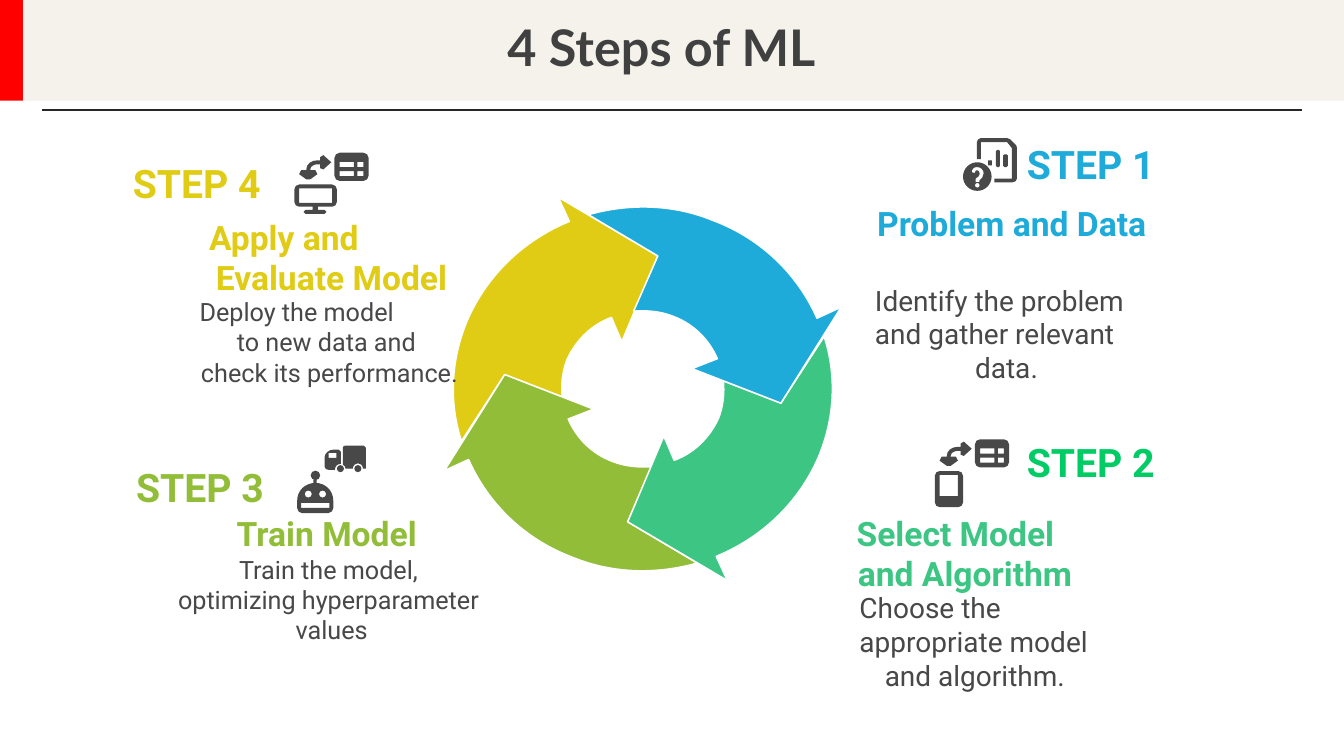
from lxml.etree import SubElement
from pptx import Presentation
from pptx.dml.color import RGBColor
from pptx.enum.shapes import MSO_CONNECTOR, MSO_SHAPE
from pptx.enum.text import MSO_ANCHOR, PP_ALIGN
from pptx.oxml.ns import qn
from pptx.util import Cm, Pt

WHITE = RGBColor(0xFF, 0xFF, 0xFF)
CREAM = RGBColor(0xF5, 0xF1, 0xEB)
RED = RGBColor(0xFF, 0x00, 0x00)
RULE = RGBColor(0x26, 0x26, 0x26)
TITLE = RGBColor(0x40, 0x40, 0x40)
DARK = RGBColor(0x48, 0x48, 0x48)
BLUE = RGBColor(0x1E, 0xAB, 0xDA)
EMERALD = RGBColor(0x3C, 0xC5, 0x83)
BRIGHT_GREEN = RGBColor(0x00, 0xCC, 0x66)
OLIVE = RGBColor(0x92, 0xBD, 0x39)
YELLOW = RGBColor(0xE0, 0xCB, 0x15)


def pairs(segment):
    return list(zip(segment[::2], segment[1::2]))


def shift(contours, dx, dy):
    return [[tuple(value for x, y in pairs(segment) for value in (x + dx, y + dy))
             for segment in contour] for contour in contours]


def box(left, top, width, height, radius=0):
    """Contour of a rectangle, with rounded corners if a radius is given."""
    right, bottom = left + width, top + height
    if not radius:
        return [(left, top), (right, top), (right, bottom), (left, bottom)]
    r, k = radius, 0.45 * radius
    return [(left + r, top), (right - r, top), (right - k, top, right, top + k, right, top + r),
            (right, bottom - r), (right, bottom - k, right - k, bottom, right - r, bottom),
            (left + r, bottom), (left + k, bottom, left, bottom - k, left, bottom - r),
            (left, top + r), (left, top + k, left + k, top, left + r, top)]


def disc(x, y, radius):
    return box(x - radius, y - radius, 2 * radius, 2 * radius, radius)


# Outlines in cm: two numbers are a corner, six are a Bezier curve
LEFT_ARROW = [
    (-3.48, -0.36), (-4.57, 1.32), (-4.88, 0.36, -4.85, -0.71, -4.42, -1.73),
    (-3.91, -2.9, -2.97, -3.76, -1.85, -4.22), (-2.13, -4.83), (0.38, -3.35),
    (-0.53, -1.19), (-0.79, -1.8), (-1.27, -1.63, -1.68, -1.24, -1.91, -0.74),
    (-2.03, -0.43, -2.06, -0.1, -2.03, 0.2)]
TOP_ARROW = [
    (0.38, -3.35), (-1.37, -4.39), (-0.38, -4.67, 0.74, -4.67, 1.78, -4.24),
    (3, -3.78, 3.91, -2.87, 4.39, -1.78), (5, -2.06), (3.48, 0.36),
    (1.24, -0.51), (1.88, -0.76), (1.68, -1.22, 1.3, -1.63, 0.76, -1.83),
    (0.43, -1.96, 0.1, -1.98, -0.23, -1.96)]
SWAP_ARROW = [
    (0.81, 0.18), (0.61, 0.36), (0.53, 0.33), (0.53, 0.23), (0.46, 0.23),
    (0.38, 0.23, 0.28, 0.28, 0.28, 0.36), (0.28, 0.38), (0.41, 0.38), (0.46, 0.48),
    (0.28, 0.61), (0.18, 0.61), (0, 0.48), (0.05, 0.38), (0.18, 0.38), (0.18, 0.36),
    (0.18, 0.23, 0.3, 0.13, 0.46, 0.13), (0.53, 0.13), (0.53, 0.05), (0.61, 0)]
QUESTION_MARK = [
    (0.23, 0.25), (0.23, 0.17, 0.28, 0.12, 0.36, 0.12),
    (0.47, 0.12, 0.53, 0.2, 0.53, 0.28), (0.53, 0.36, 0.48, 0.41, 0.42, 0.46),
    (0.42, 0.5), (0.33, 0.5), (0.33, 0.41), (0.4, 0.37, 0.43, 0.33, 0.43, 0.29),
    (0.43, 0.23, 0.4, 0.2, 0.36, 0.2), (0.33, 0.2, 0.31, 0.23, 0.31, 0.27)]
PAGE = [
    (1.35, 0.18), (1.37, 0.25), (1.37, 1.02), (1.37, 1.07, 1.32, 1.12, 1.24, 1.12),
    (0.8, 1.12), (0.8, 1.02), (1.24, 1.02), (1.24, 0.25), (1.12, 0.1), (0.46, 0.1),
    (0.46, 0.53), (0.36, 0.53), (0.36, 0.1), (0.36, 0.05, 0.41, 0, 0.46, 0),
    (1.12, 0), (1.2, 0.03)]

# Icons in cm: a contour inside another one is a hole
TABLE = [box(0, 0, 0.86, 0.71, 0.13)] + [
    box(left, top, width, 0.13)
    for top in (0.23, 0.46) for left, width in ((0.13, 0.36), (0.58, 0.15))]
DATA_FLOW = shift([SWAP_ARROW], 0.12, -0.74) + shift(TABLE, 1.01, -0.8)
MONITOR = DATA_FLOW + [
    box(0, 0, 1.07, 0.56, 0.12), box(0.12, 0.1, 0.83, 0.36),
    box(0.46, 0.56, 0.13, 0.08), box(0.23, 0.64, 0.58, 0.1, 0.05)]
PHONE = DATA_FLOW + [box(0, 0, 0.71, 0.91, 0.12), box(0.12, 0.1, 0.46, 0.53)]
REPORT = [PAGE, box(0.64, 0.56, 0.1, 0.13), box(0.84, 0.3, 0.1, 0.43, 0.03),
          box(1.02, 0.41, 0.12, 0.32, 0.03), disc(0.37, 0.97, 0.36), disc(0.37, 1.19, 0.06)
          ] + shift([QUESTION_MARK], 0, 0.61)
CAB = [(0, 0.3), (0, 0.2, 0.1, 0.1, 0.23, 0.1), (0.36, 0.1), (0.41, 0.15), (0.41, 0.46),
       (0.33, 0.46, 0.26, 0.51, 0.26, 0.61), (0.1, 0.61), (0.05, 0.61, 0, 0.58, 0, 0.53)]
CARGO = [(0.46, 0.05), (0.46, 0.02, 0.49, 0, 0.53, 0), (0.99, 0), (1.04, 0.05), (1.04, 0.58),
         (0.97, 0.58), (0.95, 0.4, 0.73, 0.4, 0.71, 0.58), (0.53, 0.58),
         (0.53, 0.53, 0.5, 0.5, 0.46, 0.48)]
TRUCK = [CAB, box(0.1, 0.18, 0.2, 0.13), CARGO, disc(0.4, 0.58, 0.09), disc(0.84, 0.58, 0.09)]
HEAD = [(0.91, 0.76), (0.91, 0.94), (0.91, 1, 0.86, 1.07, 0.79, 1.07), (0.12, 1.07),
        (0.05, 1.07, 0, 1, 0, 0.94), (0, 0.76), (0, 0.5, 0.2, 0.31, 0.46, 0.31),
        (0.71, 0.31, 0.91, 0.5, 0.91, 0.76)]
ROBOT = [HEAD, disc(0.46, 0.12, 0.12), box(0.41, 0.23, 0.08, 0.08), box(0.1, 0.81, 0.71, 0.13),
         disc(0.28, 0.59, 0.09), disc(0.64, 0.59, 0.09)]


class SlideBuilder:
    title_font, text_font = "Lato", "Roboto"

    def __init__(self, slide):
        self.shapes = slide.shapes

    def paint(self, shape, fill, line=None):
        shape.shadow.inherit = False
        shape.fill.solid()
        shape.fill.fore_color.rgb = fill
        if line is None:
            shape.line.fill.background()
        else:
            shape.line.color.rgb = line
            shape.line.width = Pt(1.07)

    def format_runs(self, paragraph, font, size, colour, bold):
        for run in paragraph.runs:
            run.font.name, run.font.size, run.font.bold = font, Pt(size), bold
            run.font.color.rgb = colour

    def title(self, text, left, top, width, height):
        shape = self.shapes.title
        shape.left, shape.top, shape.width, shape.height = map(Cm, (left, top, width, height))
        shape.text_frame.text = text
        shape.text_frame.vertical_anchor = MSO_ANCHOR.MIDDLE
        paragraph = shape.text_frame.paragraphs[0]
        paragraph.alignment = PP_ALIGN.CENTER
        paragraph.line_spacing = 0.9
        self.format_runs(paragraph, self.title_font, 36, TITLE, True)
        self.shapes._spTree.append(shape._element)  # in front of the band

    def band(self, left, top, width, height, fill):
        self.paint(self.shapes.add_shape(
            MSO_SHAPE.RECTANGLE, *map(Cm, (left, top, width, height))), fill)

    def rule(self, left, right, top):
        line = self.shapes.add_connector(
            MSO_CONNECTOR.STRAIGHT, Cm(left), Cm(top), Cm(right), Cm(top))
        line.line.color.rgb = RULE
        line.line.width = Pt(1.5)
        SubElement(line._element.spPr, qn("a:effectLst"))

    def outline(self, contours, left, top, fill, line=None, direction=1):
        builder = None
        for contour in contours:
            corners = [(Cm(left + direction * x), Cm(top + direction * y))
                       for segment in contour for x, y in pairs(segment)]
            if builder is None:
                builder = self.shapes.build_freeform(*corners[0])
            else:
                builder.move_to(*corners[0])
            builder.add_line_segments(corners[1:], close=True)
        shape = builder.convert_to_shape()
        # Join the three points of each curve into one Bezier segment
        steps = iter(list(shape._element.iter(qn("a:lnTo"))))
        for segment in (segment for contour in contours for segment in contour[1:]):
            curve = next(steps)
            if len(segment) == 6:
                curve.tag = qn("a:cubicBezTo")
                for step in (next(steps), next(steps)):
                    curve.append(step[0])
                    step.getparent().remove(step)
        self.paint(shape, fill, line)

    def text(self, lines, left, top, width, height, size, colour,
             bold=False, left_lines=0, inset=0):
        frame = self.shapes.add_textbox(*map(Cm, (left, top, width, height))).text_frame
        frame.word_wrap = True
        frame.margin_left = frame.margin_right = Cm(inset)
        frame.margin_top = frame.margin_bottom = Cm(inset / 2)
        frame.text = lines
        for index, paragraph in enumerate(frame.paragraphs):
            paragraph.alignment = PP_ALIGN.LEFT if index < left_lines else PP_ALIGN.CENTER
            self.format_runs(paragraph, self.text_font, size, colour, bold)


def main():
    presentation = Presentation()
    presentation.slide_width, presentation.slide_height = Cm(33.87), Cm(19.05)
    builder = SlideBuilder(presentation.slides.add_slide(presentation.slide_layouts[5]))

    # Header
    builder.band(0.58, 0, 33.29, 2.54, CREAM)
    builder.title("4 Steps of ML", 1.61, 0, 30.12, 2.54)
    builder.band(0, 0, 0.58, 2.54, RED)
    builder.rule(1.07, 32.82, 2.77)

    # Cycle: opposite arrows are half a turn apart
    for arrow, colour, direction in ((LEFT_ARROW, YELLOW, 1), (TOP_ARROW, OLIVE, -1),
                                     (LEFT_ARROW, EMERALD, -1), (TOP_ARROW, BLUE, 1)):
        builder.outline([arrow], 16.2, 9.8, colour, WHITE, direction)

    # Icons
    for icon, left, top in ((REPORT, 24.26, 3.48), (MONITOR, 7.42, 4.65),
                            (TRUCK, 8.18, 11.23), (ROBOT, 7.49, 11.86), (PHONE, 23.56, 11.87)):
        builder.outline(icon, left, top, DARK)

    # Step headings
    for heading, left, top, width, height, colour, left_lines in (
            ("Problem and Data", 21.99, 5.11, 7.01, 1.02, BLUE, 0),
            ("Apply and\nEvaluate Model", 5.27, 5.47, 6.17, 2.06, YELLOW, 1),
            ("Train Model", 5.81, 12.93, 4.85, 1.02, OLIVE, 0),
            ("Select Model\nand Algorithm", 21.59, 12.92, 5.46, 2.06, EMERALD, 1)):
        builder.text(heading, left, top, width, height, 24, colour, True, left_lines)

    # Step descriptions
    for description, left, top, width, height, size, left_lines in (
            ("Deploy the model\nto new data and \ncheck its performance.",
             5.03, 7.47, 6.55, 2.31, 18, 1),
            ("Identify the problem\nand gather relevant\ndata.",
             22.05, 7.14, 6.63, 2.57, 20, 2),
            ("Train the model, \noptimizing hyperparameter \nvalues",
             4.45, 13.96, 7.82, 2.31, 18, 0),
            ("Choose the\nappropriate model\nand algorithm.",
             21.66, 14.89, 5.82, 2.57, 20, 2)):
        builder.text(description, left, top, width, height, size, DARK, left_lines=left_lines)

    # Step numbers
    for number, (left, top, colour) in enumerate((
            (25.63, 3.4, BLUE), (25.63, 10.92, BRIGHT_GREEN),
            (3.18, 11.56, OLIVE), (3.1, 3.89, YELLOW)), start=1):
        builder.text(f"STEP {number}", left, top, 4.39, 1.45, 28, colour, True, 1, 0.25)

    presentation.save("out.pptx")


if __name__ == "__main__":
    main()
